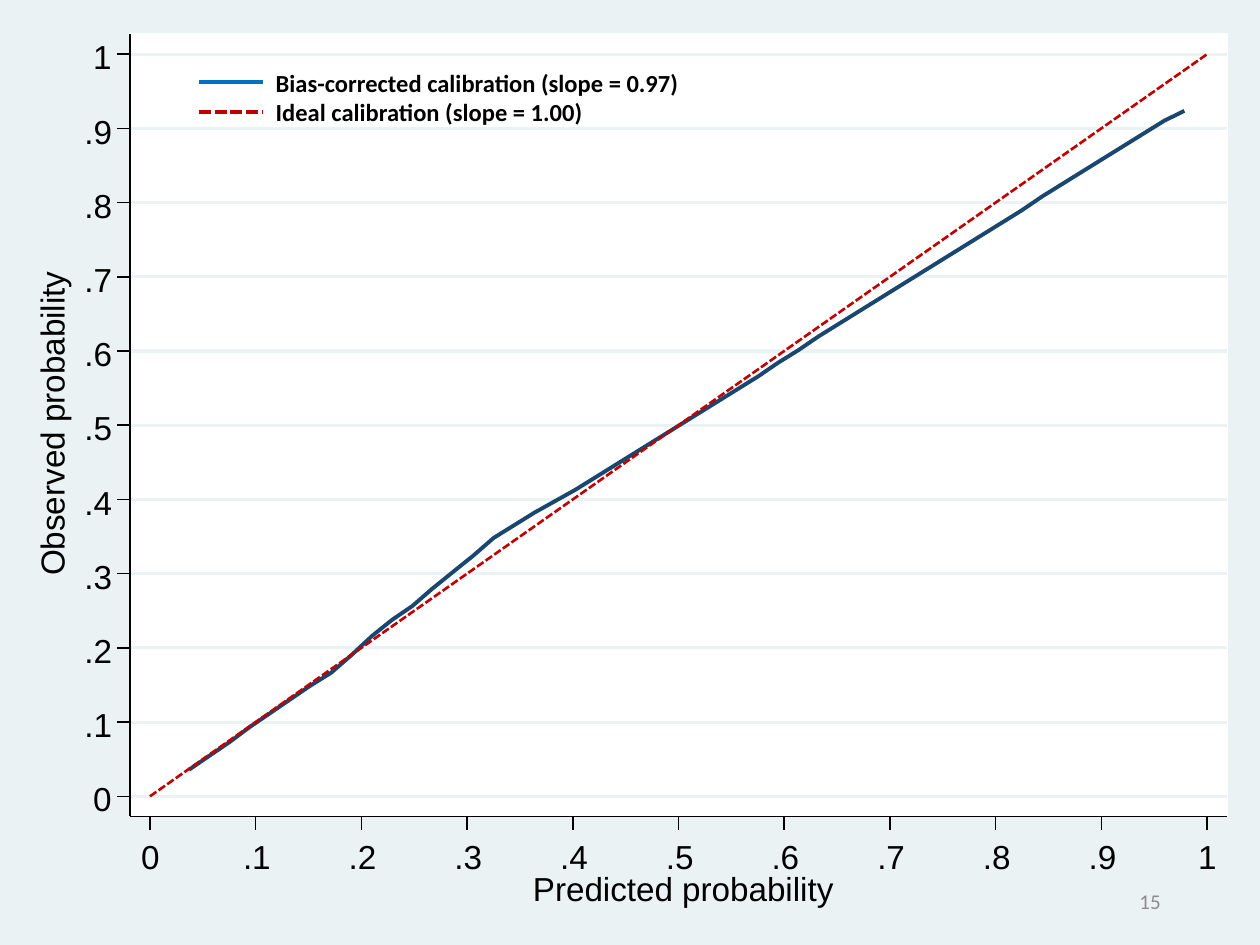
"""Build the calibration plot slide: observed against predicted probability."""
from lxml import etree
from pptx import Presentation
from pptx.dml.color import RGBColor
from pptx.enum.dml import MSO_LINE
from pptx.enum.shapes import MSO_CONNECTOR, MSO_SHAPE
from pptx.enum.text import MSO_ANCHOR, MSO_AUTO_SIZE, PP_ALIGN
from pptx.oxml.ns import qn
from pptx.util import Inches, Pt

COLORS = {
    "backdrop": "EAF2F3", "plot": "FFFFFF", "axis": "000000", "curve": "1A476F",
    "ideal": "C00000", "legend": "0070C0", "number": "8C8C8C",
}
LEFT, RIGHT, TOP, BOTTOM = 1.03, 9.74, 0.27, 6.48
TICKS = ["0", ".1", ".2", ".3", ".4", ".5", ".6", ".7", ".8", ".9", "1"]
TICK_X = [1.19 + 0.839 * step for step in range(11)]
TICK_Y = [6.32 - 0.589 * step for step in range(11)]
OBSERVED_Y = [
    6.11, 6, 5.89, 5.77, 5.66, 5.55, 5.44, 5.34, 5.2, 5.05,
    4.92, 4.81, 4.67, 4.54, 4.41, 4.27, 4.17, 4.07, 3.98, 3.89,
    3.79, 3.69, 3.59, 3.49, 3.39, 3.29, 3.19, 3.09, 2.99, 2.88,
    2.78, 2.67, 2.57, 2.47, 2.37, 2.27, 2.17, 2.07, 1.97, 1.87,
    1.77, 1.67, 1.56, 1.46, 1.36, 1.26, 1.16, 1.06, 0.96, 0.88,
]
OBSERVED_X = [1.5 + 7.9 * step / 49 for step in range(50)]


def add_line(shapes, x1, y1, x2, y2, color, width):
    rule = shapes.add_connector(
        MSO_CONNECTOR.STRAIGHT, Inches(x1), Inches(y1), Inches(x2), Inches(y2))
    rule.line.color.rgb = RGBColor.from_string(COLORS[color])
    rule.line.width = Pt(width)
    etree.SubElement(rule._element.spPr, qn("a:effectLst"))
    return rule


def add_label(shapes, text, left, top, width):
    label = shapes.add_textbox(Inches(left), Inches(top), Inches(width), Inches(0.35))
    frame = label.text_frame
    frame.margin_left = frame.margin_right = frame.margin_top = frame.margin_bottom = 0
    frame.word_wrap = False
    frame.auto_size = MSO_AUTO_SIZE.SHAPE_TO_FIT_TEXT
    frame.text = text
    font = frame.paragraphs[0].font
    font.name, font.size = "Arial", Pt(19)
    font.color.rgb = RGBColor.from_string(COLORS["axis"])
    return label


prs = Presentation()
prs.slide_width, prs.slide_height = Inches(10), Inches(7.5)
slide = prs.slides.add_slide(prs.slide_layouts[6])
graph = slide.shapes.add_group_shape().shapes

for left, top, width, height, color, outlined in [
    (-0.01, -0.01, 10.01, 7.51, "backdrop", False),
    (0, 0.01, 9.99, 7.49, "backdrop", True),
    (LEFT, TOP, RIGHT - LEFT, BOTTOM - TOP, "plot", True),
]:
    panel = graph.add_shape(
        MSO_SHAPE.RECTANGLE, Inches(left), Inches(top), Inches(width), Inches(height))
    panel.shadow.inherit = False
    panel.fill.solid()
    panel.fill.fore_color.rgb = RGBColor.from_string(COLORS[color])
    if outlined:
        panel.line.color.rgb = RGBColor.from_string(COLORS[color])
        panel.line.width = Pt(0.88)
    else:
        panel.line.fill.background()

for y in TICK_Y:
    add_line(graph, LEFT, y, RIGHT, y, "backdrop", 1.75)

for xs, ys, color, width, dash in [
    (OBSERVED_X, OBSERVED_Y, "curve", 2.25, None),
    (TICK_X, TICK_Y, "ideal", 1.5, MSO_LINE.SQUARE_DOT),
]:
    points = [(Inches(x), Inches(y)) for x, y in zip(xs, ys)]
    outline = graph.build_freeform(*points[0])
    outline.add_line_segments(points[1:], close=False)
    curve = outline.convert_to_shape()
    curve.shadow.inherit = False
    curve.fill.background()
    curve.line.color.rgb = RGBColor.from_string(COLORS[color])
    curve.line.width = Pt(width)
    curve.line.dash_style = dash

add_line(graph, LEFT, BOTTOM, LEFT, TOP, "axis", 0.88)
for tick, y in zip(TICKS, TICK_Y):
    add_line(graph, LEFT, y, LEFT - 0.1, y, "axis", 0.88)
    decimal = tick.startswith(".")
    add_label(graph, tick, 0.67 if decimal else 0.74, y - 0.14, 0.33 if decimal else 0.26)
add_label(graph, "Observed probability", -0.8, 3.17, 2.45).rotation = 270

add_line(graph, LEFT, BOTTOM, RIGHT, BOTTOM, "axis", 0.88)
for tick, x in zip(TICKS, TICK_X):
    add_line(graph, x, BOTTOM, x, BOTTOM + 0.11, "axis", 0.88)
    decimal = tick.startswith(".")
    add_label(graph, tick, x - (0.1 if decimal else 0.07), 6.64, 0.33 if decimal else 0.26)
add_label(graph, "Predicted probability", 4.23, 6.89, 2.42)

ideal_key = add_line(slide.shapes, 1.58, 0.89, 2.09, 0.89, "ideal", 2.25)
ideal_key.line.dash_style = MSO_LINE.SQUARE_DOT
add_line(slide.shapes, 1.58, 0.65, 2.09, 0.65, "legend", 2.25)

legend = slide.shapes.add_textbox(Inches(2.09), Inches(0.49), Inches(4.14), Inches(0.57))
legend.text_frame.word_wrap = True
legend.text_frame.auto_size = MSO_AUTO_SIZE.SHAPE_TO_FIT_TEXT
legend.text_frame.text = (
    "Bias-corrected calibration (slope = 0.97)\nIdeal calibration (slope = 1.00)")
for entry in legend.text_frame.paragraphs:
    entry.font.name, entry.font.size, entry.font.bold = "Calibri", Pt(14), True
    entry.font.color.rgb = RGBColor.from_string(COLORS["axis"])

page = slide.shapes.add_textbox(Inches(7.06), Inches(6.95), Inches(2.25), Inches(0.4))
page.text_frame.word_wrap = True
page.text_frame.vertical_anchor = MSO_ANCHOR.MIDDLE
page.text_frame.text = "15"
number = page.text_frame.paragraphs[0]
number.alignment = PP_ALIGN.RIGHT
number.font.name, number.font.size = "Calibri", Pt(12)
number.font.color.rgb = RGBColor.from_string(COLORS["number"])

prs.save("out.pptx")
